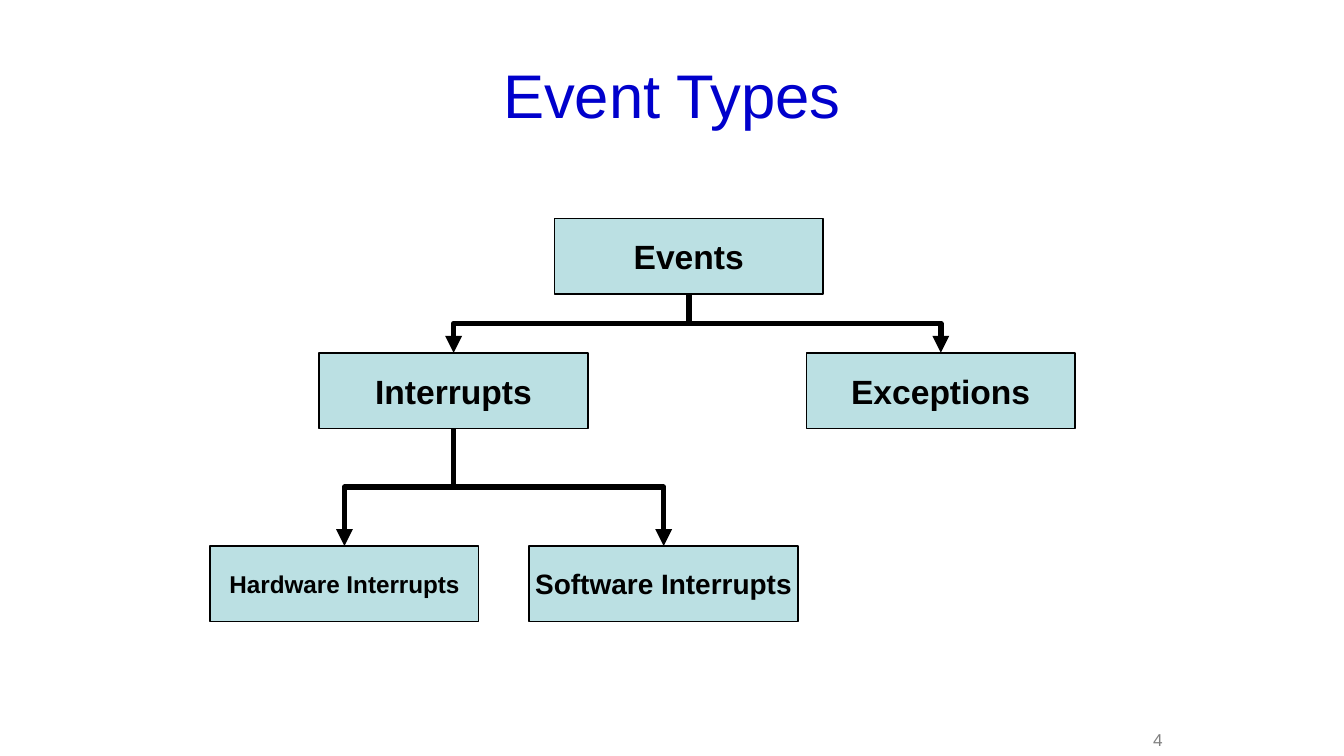
"""Build the event types tree slide."""
from typing import NamedTuple

from lxml import etree
from pptx import Presentation
from pptx import util as u
from pptx.dml.color import RGBColor
from pptx.enum import shapes, text
from pptx.oxml.ns import qn

PX = 9525
FONT = "Arial"
BLUE = RGBColor(0x00, 0x00, 0xCC)
TEAL = RGBColor(0xBB, 0xE0, 0xE3)
BLACK = RGBColor(0x00, 0x00, 0x00)
GRAY = RGBColor(0x80, 0x80, 0x80)
BOX_W, BOX_H = 192, 54
TOP, BOTTOM = 0, 2


class Node(NamedTuple):
    label: str
    x: int
    y: int
    size: int = 18
    parent: str = ""


class Label(NamedTuple):
    label: str
    x: int
    y: int
    w: int
    h: int
    size: float
    color: RGBColor
    align: text.PP_ALIGN
    anchor: text.MSO_ANCHOR


NODES = [
    Node("Events", 396, 156),
    Node("Interrupts", 228, 252, parent="Events"),
    Node("Exceptions", 576, 252, parent="Events"),
    Node("Hardware Interrupts", 150, 390, 13, "Interrupts"),
    Node("Software Interrupts", 378, 390, 15, "Interrupts"),
]
LABELS = [
    Label("Event Types", 48, 22, 864, 90, 33, BLUE,
          text.PP_ALIGN.CENTER, text.MSO_ANCHOR.MIDDLE),
    Label("4", 672, 516, 168, 26, 9.2, GRAY,
          text.PP_ALIGN.RIGHT, text.MSO_ANCHOR.TOP),
]


def write(sp, label: str, size: float, color: RGBColor, align, anchor,
          bold: bool = False, wrap: bool = True) -> None:
    """Put one formatted paragraph into a shape."""
    tf = sp.text_frame
    tf.text = label
    tf.word_wrap = wrap
    tf.vertical_anchor = anchor
    p = tf.paragraphs[0]
    p.alignment = align
    font = p.runs[0].font
    font.name, font.size, font.bold = FONT, u.Pt(size), bold
    font.color.rgb = color


def add_label(s, item: Label) -> None:
    """Add a plain text box."""
    sp = s.shapes.add_textbox(item.x * PX, item.y * PX, item.w * PX, item.h * PX)
    write(sp, item.label, item.size, item.color, item.align, item.anchor)


def add_node(s, node: Node):
    """Add a tree box and return it."""
    sp = s.shapes.add_shape(shapes.MSO_SHAPE.RECTANGLE, node.x * PX, node.y * PX,
                            BOX_W * PX, BOX_H * PX)
    sp.shadow.inherit = False
    sp.fill.solid()
    sp.fill.fore_color.rgb = TEAL
    sp.line.color.rgb = BLACK
    sp.line.width = u.Pt(0.75)
    write(sp, node.label, node.size, BLACK, text.PP_ALIGN.CENTER,
          text.MSO_ANCHOR.MIDDLE, bold=True, wrap=False)
    return sp


def add_branch(s, parent, child) -> None:
    """Join two boxes with an elbow arrow that leaves downwards."""
    x1, y1 = parent.left + parent.width // 2, parent.top + parent.height
    x2, y2 = child.left + child.width // 2, child.top
    cx = s.shapes.add_connector(shapes.MSO_CONNECTOR.ELBOW, x1, y1, x2, y2)
    cx.begin_connect(parent, BOTTOM)
    cx.end_connect(child, TOP)
    run, drop = abs(x2 - x1), y2 - y1
    cx.left, cx.top = (x1 + x2 - drop) // 2, (y1 + y2 - run) // 2
    cx.width, cx.height = drop, run
    spPr = cx._element.spPr
    rightward = x2 > x1
    spPr.xfrm.flipH = rightward
    spPr.xfrm.set("rot", str((270 if rightward else 90) * 60000))
    cx.line.color.rgb = BLACK
    cx.line.width = u.Pt(3)
    etree.SubElement(cx.line._get_or_add_ln(), qn("a:tailEnd"), type="triangle")
    etree.SubElement(spPr, qn("a:effectLst"))


def main() -> None:
    """Build and save the slide."""
    prs = Presentation()
    prs.slide_width, prs.slide_height = 960 * PX, 540 * PX
    s = prs.slides.add_slide(prs.slide_layouts[6])
    title, number = LABELS
    add_label(s, title)
    boxes = {node.label: add_node(s, node) for node in NODES}
    for node in NODES:
        if node.parent:
            add_branch(s, boxes[node.parent], boxes[node.label])
    add_label(s, number)
    prs.save("out.pptx")


if __name__ == "__main__":
    main()
